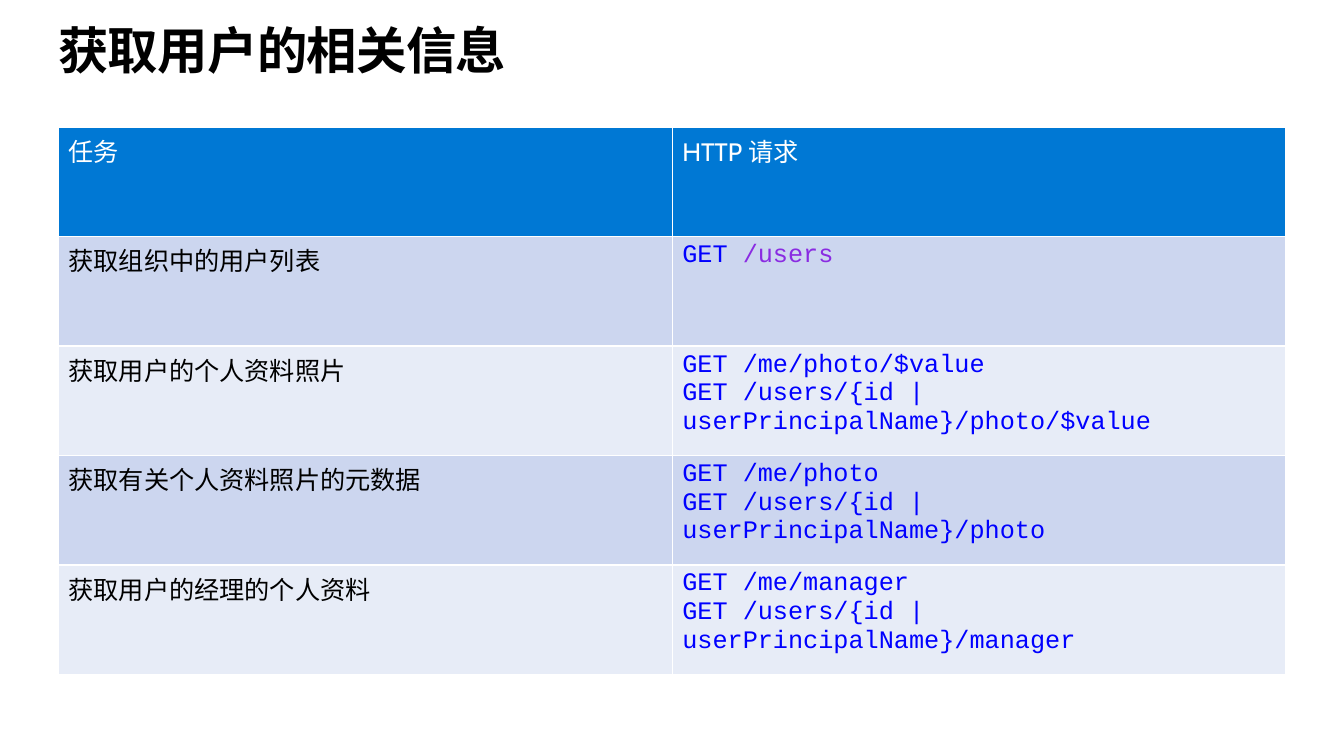
"""Build a slide listing HTTP requests that return user information."""

from dataclasses import dataclass

from pptx import Presentation
from pptx.dml.color import RGBColor
from pptx.enum.lang import MSO_LANGUAGE_ID
from pptx.enum.text import MSO_AUTO_SIZE
from pptx.slide import Slide
from pptx.table import _Cell
from pptx.text.text import _Paragraph, _Run
from pptx.util import Cm, Pt

BLACK = RGBColor(0x00, 0x00, 0x00)
WHITE = RGBColor(0xFF, 0xFF, 0xFF)
HEADER_BLUE = RGBColor(0x00, 0x78, 0xD4)
BAND_DARK = RGBColor(0xCC, 0xD6, 0xEF)
BAND_LIGHT = RGBColor(0xE7, 0xEC, 0xF7)
CODE_BLUE = RGBColor(0x00, 0x00, 0xFF)
CODE_VIOLET = RGBColor(0x8A, 0x2B, 0xE2)

TEXT_FONT = "Cabin"
CODE_FONT = "Courier New"
LEFT = Cm(1.47)
COLUMN_WIDTH = Cm(15.47)
ROW_HEIGHT = Cm(2.76)


@dataclass(frozen=True)
class Span:
    text: str
    color: RGBColor = CODE_BLUE
    font: str = CODE_FONT
    size: float = 18
    bold: bool = False


@dataclass(frozen=True)
class Task:
    name: str
    requests: tuple[tuple[Span, ...], ...]


TASKS = (
    Task("获取组织中的用户列表", ((Span("GET "), Span("/users", CODE_VIOLET)),)),
    Task(
        "获取用户的个人资料照片",
        (
            (Span("GET /me/photo/$value"),),
            (Span("GET /users/{id | userPrincipalName}/photo/$value"),),
        ),
    ),
    Task(
        "获取有关个人资料照片的元数据",
        (
            (Span("GET /me/photo"),),
            (Span("GET /users/{id | userPrincipalName}/photo"),),
        ),
    ),
    Task(
        "获取用户的经理的个人资料",
        (
            (Span("GET /me/manager"),),
            (Span("GET /users/{id | userPrincipalName}/manager"),),
        ),
    ),
)


def add_span(paragraph: _Paragraph, span: Span) -> _Run:
    """Append one formatted run to a paragraph."""
    run = paragraph.add_run()
    run.text = span.text
    run.font.name = span.font
    run.font.size = Pt(span.size)
    run.font.bold = span.bold
    run.font.color.rgb = span.color
    if span.font == TEXT_FONT:
        run.font.language_id = MSO_LANGUAGE_ID.SIMPLIFIED_CHINESE
    return run


def fill_cell(cell: _Cell, lines: tuple[tuple[Span, ...], ...], color: RGBColor) -> None:
    """Colour a cell and write its lines as paragraphs."""
    cell.fill.solid()
    cell.fill.fore_color.rgb = color
    for index, line in enumerate(lines):
        frame = cell.text_frame
        paragraph = frame.add_paragraph() if index else frame.paragraphs[0]
        for span in line:
            add_span(paragraph, span)


def add_title(slide: Slide, text: str) -> None:
    """Add the slide heading."""
    frame = slide.shapes.add_textbox(LEFT, Cm(0.48), Cm(29.21), Cm(1.55)).text_frame
    frame.margin_left = frame.margin_top = frame.margin_right = frame.margin_bottom = 0
    frame.word_wrap = True
    frame.auto_size = MSO_AUTO_SIZE.SHAPE_TO_FIT_TEXT
    run = add_span(frame.paragraphs[0], Span(text, BLACK, TEXT_FONT, 36, True))
    run.font._element.set("spc", "-50")


def add_request_table(slide: Slide) -> None:
    """Add the table of tasks and their requests."""
    row_count = len(TASKS) + 1
    table = slide.shapes.add_table(
        row_count, 2, LEFT, Cm(3.2), COLUMN_WIDTH * 2, ROW_HEIGHT * row_count
    ).table
    for column in table.columns:
        column.width = COLUMN_WIDTH
    for row in table.rows:
        row.height = ROW_HEIGHT
    for column_index, heading in enumerate(("任务", "HTTP 请求")):
        span = Span(heading, WHITE, TEXT_FONT)
        fill_cell(table.cell(0, column_index), ((span,),), HEADER_BLUE)
    for row_index, task in enumerate(TASKS, start=1):
        color = BAND_DARK if row_index % 2 else BAND_LIGHT
        name = Span(task.name, BLACK, TEXT_FONT)
        fill_cell(table.cell(row_index, 0), ((name,),), color)
        fill_cell(table.cell(row_index, 1), task.requests, color)


def main() -> None:
    """Create and save the presentation."""
    presentation = Presentation()
    presentation.slide_width = Cm(33.87)
    presentation.slide_height = Cm(19.05)
    slide = presentation.slides.add_slide(presentation.slide_layouts[6])
    add_title(slide, "获取用户的相关信息")
    add_request_table(slide)
    presentation.save("out.pptx")


if __name__ == "__main__":
    main()
